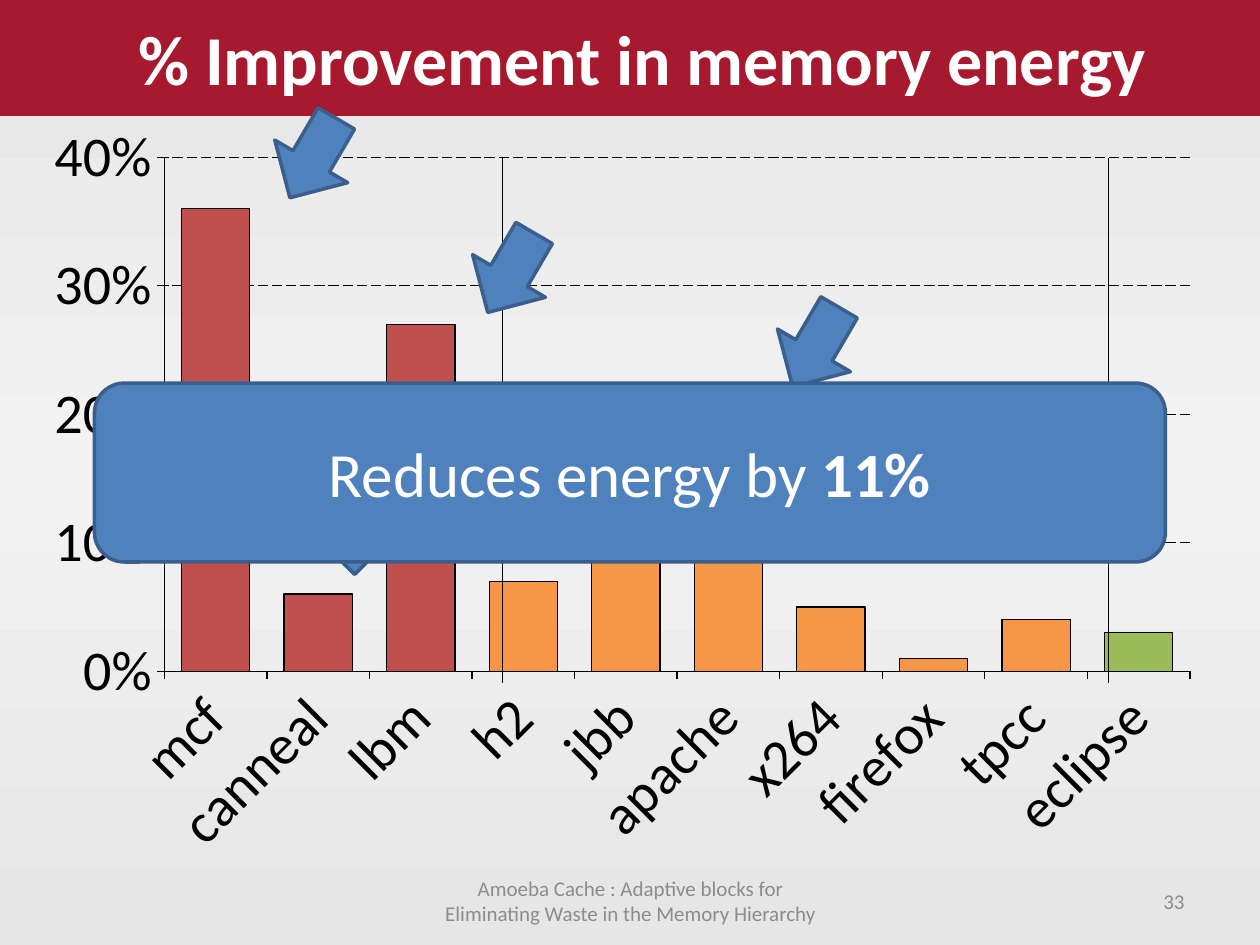
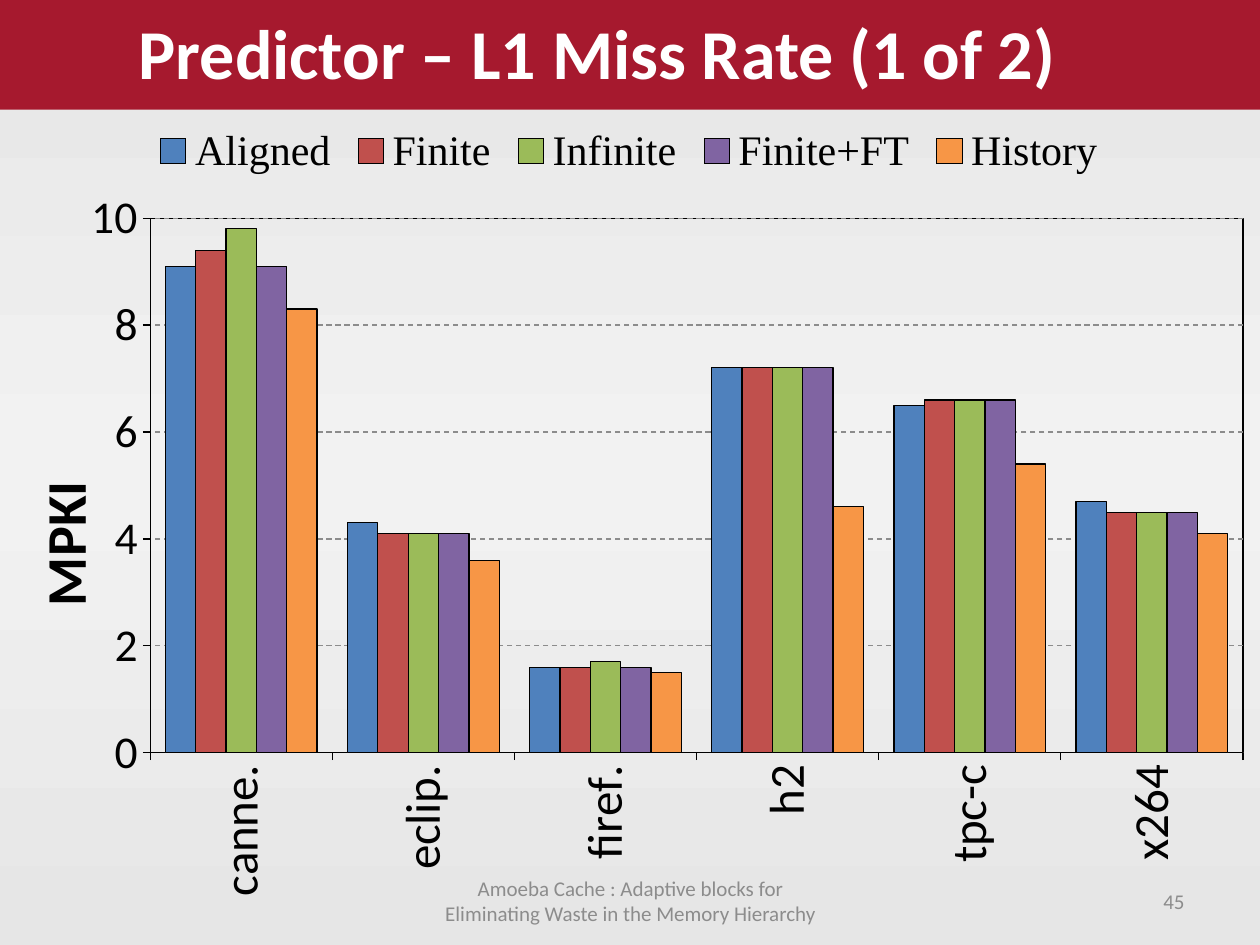
from copy import deepcopy
from dataclasses import dataclass

from lxml.etree import SubElement
from pptx import Presentation
from pptx.chart.data import CategoryChartData
from pptx.dml.color import RGBColor
from pptx.enum.chart import XL_CHART_TYPE, XL_LEGEND_POSITION, XL_TICK_MARK
from pptx.enum.dml import MSO_LINE
from pptx.enum.shapes import MSO_CONNECTOR, MSO_SHAPE
from pptx.enum.text import MSO_ANCHOR, MSO_AUTO_SIZE, PP_ALIGN
from pptx.oxml import parse_xml
from pptx.oxml.ns import nsdecls, qn
from pptx.util import Inches, Pt


@dataclass(frozen=True)
class Theme:
    font: str = "Calibri"
    legend_font: str = "Times New Roman"
    banner: str = "A6192E"
    edge: str = "E6E6E6"
    middle: str = "F2F2F2"
    white: str = "FFFFFF"
    black: str = "000000"
    gray: str = "8C8C8C"
    blue: str = "4F81BD"
    outline: str = "3A5F8C"
    red: str = "C0504D"
    green: str = "9BBB59"
    purple: str = "8064A2"
    orange: str = "F79646"
    title_size: int = 40
    callout_size: int = 36
    axis_size: int = 32
    category_size: int = 28
    value_size: int = 26
    legend_size: int = 24
    footer_size: int = 12
    hairline: float = 0.75
    shape_line: float = 2


FOOTER = "Amoeba Cache : Adaptive blocks for Eliminating Waste in the Memory Hierarchy"


def color(code):
    return RGBColor.from_string(code)


def set_font(font, size, code, name, bold=False):
    font.size = Pt(size)
    font.color.rgb = color(code)
    font.name = name
    font.bold = bold


def write_span(para, text, size, code, name, bold=False):
    span = para.add_run()
    span.text = text
    set_font(span.font, size, code, name, bold)


def set_line(line, code, width, dash=None):
    line.color.rgb = color(code)
    line.width = Pt(width)
    if dash:
        line.dash_style = dash


def set_fill(fill, code):
    fill.solid()
    fill.fore_color.rgb = color(code)


class SlideBuilder:
    def __init__(self, deck, theme):
        self.deck = deck
        self.theme = theme
        self.page = None
        self.paint_background()

    def paint_background(self):
        master = self.deck.slide_master
        fill = master.background.fill
        fill.gradient()
        fill.gradient_angle = 90
        for stop, code, position in zip(
            fill.gradient_stops, (self.theme.edge, self.theme.middle), (0, 0.5)
        ):
            stop.color.rgb = color(code)
            stop.position = position
        stops = master._element.find(".//" + qn("p:bg")).find(".//" + qn("a:gsLst"))
        last = deepcopy(stops[0])
        last.set("pos", "100000")
        stops.append(last)

    def start(self, title, number, top=0):
        self.page = self.deck.slides.add_slide(self.deck.slide_layouts[5])
        box = self.page.shapes.title
        box.left, box.top = Inches(0), Inches(top)
        box.width, box.height = Inches(10), Inches(0.92)
        set_fill(box.fill, self.theme.banner)
        frame = box.text_frame
        frame.auto_size = MSO_AUTO_SIZE.NONE
        frame.vertical_anchor = MSO_ANCHOR.MIDDLE
        frame.margin_left = Inches(1.1)
        para = frame.paragraphs[0]
        para.alignment = PP_ALIGN.LEFT
        write_span(para, title, self.theme.title_size, self.theme.white,
                   self.theme.font, bold=True)
        self.footer(FOOTER, 3.42, 3.17, PP_ALIGN.CENTER)
        self.footer(str(number), 7.17, 2.33, PP_ALIGN.RIGHT)

    def footer(self, text, left, width, alignment):
        box = self.page.shapes.add_textbox(
            Inches(left), Inches(6.95), Inches(width), Inches(0.4))
        frame = box.text_frame
        frame.word_wrap = True
        frame.vertical_anchor = MSO_ANCHOR.MIDDLE
        para = frame.paragraphs[0]
        para.alignment = alignment
        write_span(para, text, self.theme.footer_size, self.theme.gray, self.theme.font)

    def shape(self, kind, left, top, width, height, rotation=0):
        box = self.page.shapes.add_shape(
            kind, Inches(left), Inches(top), Inches(width), Inches(height))
        box.rotation = rotation
        box.shadow.inherit = False
        set_fill(box.fill, self.theme.blue)
        set_line(box.line, self.theme.outline, self.theme.shape_line)
        return box

    def arrow(self, left, top, rotation=0):
        self.shape(MSO_SHAPE.DOWN_ARROW, left, top, 0.67, 0.73, rotation)

    def callout(self, lead, emphasis):
        box = self.shape(MSO_SHAPE.ROUNDED_RECTANGLE, 0.75, 3.04, 8.5, 1.42)
        box.text_frame.vertical_anchor = MSO_ANCHOR.MIDDLE
        para = box.text_frame.paragraphs[0]
        para.alignment = PP_ALIGN.CENTER
        for text, bold in ((lead, False), (emphasis, True)):
            write_span(para, text, self.theme.callout_size, self.theme.white,
                       self.theme.font, bold=bold)

    def divider(self, left):
        line = self.page.shapes.add_connector(
            MSO_CONNECTOR.STRAIGHT, Inches(left), Inches(1.25), Inches(left), Inches(5.42))
        set_line(line.line, self.theme.black, self.theme.hairline)
        SubElement(line._element.spPr, qn("a:effectLst"))

    def column_chart(self, area, categories, series, plot_area, gap):
        data = CategoryChartData()
        data.categories = categories
        for name, values, _ in series:
            data.add_series(name, values)
        chart = self.page.shapes.add_chart(
            XL_CHART_TYPE.COLUMN_CLUSTERED, *map(Inches, area), data).chart
        chart.has_title = False
        chart.has_legend = False
        set_font(chart.font, 18, self.theme.black, self.theme.font)
        plot = chart.plots[0]
        plot.gap_width = gap
        plot.overlap = 0
        plot.vary_by_categories = False
        for columns, (_, _, code) in zip(plot.series, series):
            columns.invert_if_negative = False
            self.paint_column(columns, code)
        self.place_plot(chart, plot_area)
        return chart

    def paint_column(self, column, code):
        set_fill(column.format.fill, code)
        set_line(column.format.line, self.theme.black, self.theme.hairline)

    def place_plot(self, chart, plot_area):
        parent = chart._chartSpace.find(".//" + qn("c:plotArea"))
        for old in parent.findall(qn("c:layout")):
            parent.remove(old)
        layout = parse_xml(f'<c:layout {nsdecls("c")}><c:manualLayout/></c:layout>')
        settings = [("layoutTarget", "inner"), ("xMode", "edge"), ("yMode", "edge")]
        settings += zip("xywh", map(str, plot_area))
        for tag, value in settings:
            SubElement(layout[0], qn("c:" + tag)).set("val", value)
        parent.insert(0, layout)

    def frame_plot(self, chart):
        parent = chart._chartSpace.find(".//" + qn("c:plotArea"))
        parent.append(parse_xml(
            f'<c:spPr {nsdecls("c", "a")}><a:noFill/><a:ln w="{Pt(self.theme.hairline)}">'
            f'<a:solidFill><a:srgbClr val="{self.theme.black}"/></a:solidFill></a:ln></c:spPr>'))

    def category_axis(self, chart, size, angle):
        axis = chart.category_axis
        self.format_axis(axis, size)
        axis._element.find(qn("c:txPr")).find(qn("a:bodyPr")).set("rot", str(angle * 60000))

    def value_axis(self, chart, size, maximum, step, number_format, grid, dash):
        axis = chart.value_axis
        self.format_axis(axis, size)
        axis.minimum_scale, axis.maximum_scale, axis.major_unit = 0, maximum, step
        axis.tick_labels.number_format = number_format
        axis.tick_labels.number_format_is_linked = False
        axis.has_major_gridlines = True
        set_line(axis.major_gridlines.format.line, grid, self.theme.hairline, dash)

    def format_axis(self, axis, size):
        axis.major_tick_mark = XL_TICK_MARK.OUTSIDE
        axis.minor_tick_mark = XL_TICK_MARK.NONE
        set_line(axis.format.line, self.theme.black, self.theme.hairline)
        set_font(axis.tick_labels.font, size, self.theme.black, self.theme.font)

    def axis_title(self, axis, text):
        frame = axis.axis_title.text_frame
        write_span(frame.paragraphs[0], text, self.theme.axis_size, self.theme.black,
                   self.theme.font, bold=True)
        body = frame._txBody.find(qn("a:bodyPr"))
        body.set("rot", "-5400000")
        body.set("vert", "horz")

    def legend(self, chart):
        chart.has_legend = True
        chart.legend.position = XL_LEGEND_POSITION.TOP
        chart.legend.include_in_layout = False
        set_font(chart.legend.font, self.theme.legend_size, self.theme.black,
                 self.theme.legend_font)


def build_energy(builder):
    theme = builder.theme
    builder.start("% Improvement in memory energy", 33)
    benchmarks = ["mcf", "canneal", "lbm", "h2", "jbb", "apache", "x264",
                  "firefox", "tpcc", "eclipse"]
    savings = [0.36, 0.06, 0.27, 0.07, 0.09, 0.21, 0.05, 0.01, 0.04, 0.03]
    chart = builder.column_chart(
        (0.38, 0.92, 9.25, 6.58), benchmarks, [("Series 1", savings, theme.orange)],
        (0.1, 0.05, 0.88, 0.62), 50)
    points = chart.plots[0].series[0].points
    for index, code in ((0, theme.red), (1, theme.red), (2, theme.red), (9, theme.green)):
        builder.paint_column(points[index], code)
    builder.category_axis(chart, theme.axis_size, -45)
    builder.value_axis(chart, theme.axis_size, 0.4, 0.1, "0%", theme.black,
                       MSO_LINE.LONG_DASH)
    for left in (3.99, 8.8):
        builder.divider(left)
    builder.arrow(2.48, 3.83)
    for left, top in ((2.15, 0.89), (3.72, 1.8), (6.14, 2.39)):
        builder.arrow(left, top, rotation=30.3)
    builder.callout("Reduces energy by ", "11%")


def build_miss_rate(builder):
    theme = builder.theme
    builder.start("Predictor – L1 Miss Rate (1 of 2)", 45, top=-0.05)
    predictors = [
        ("Aligned", [9.1, 4.3, 1.6, 7.2, 6.5, 4.7], theme.blue),
        ("Finite", [9.4, 4.1, 1.6, 7.2, 6.6, 4.5], theme.red),
        ("Infinite", [9.8, 4.1, 1.7, 7.2, 6.6, 4.5], theme.green),
        ("Finite+FT", [9.1, 4.1, 1.6, 7.2, 6.6, 4.5], theme.purple),
        ("History", [8.3, 3.6, 1.5, 4.6, 5.4, 4.1], theme.orange),
    ]
    chart = builder.column_chart(
        (0.12, 0.87, 9.75, 6.63), ["canne.", "eclip.", "firef.", "h2", "tpc-c", "x264"],
        predictors, (0.11, 0.13, 0.89, 0.64), 100)
    builder.category_axis(chart, theme.category_size, -90)
    builder.value_axis(chart, theme.value_size, 10, 2, "#,##0", theme.gray, MSO_LINE.DASH)
    builder.axis_title(chart.value_axis, "MPKI")
    builder.frame_plot(chart)
    builder.legend(chart)


def main():
    deck = Presentation()
    deck.slide_width, deck.slide_height = Inches(10), Inches(7.5)
    builder = SlideBuilder(deck, Theme())
    build_energy(builder)
    build_miss_rate(builder)
    deck.save("out.pptx")


if __name__ == "__main__":
    main()
